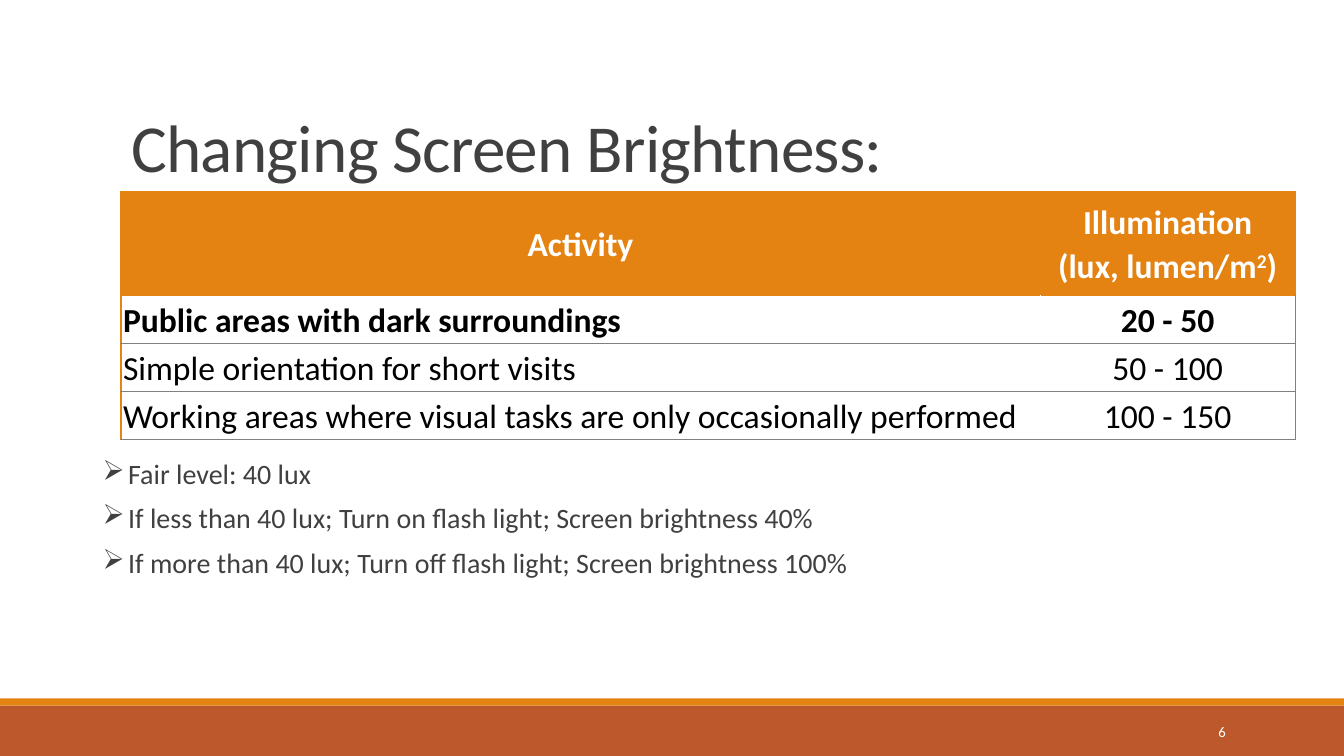
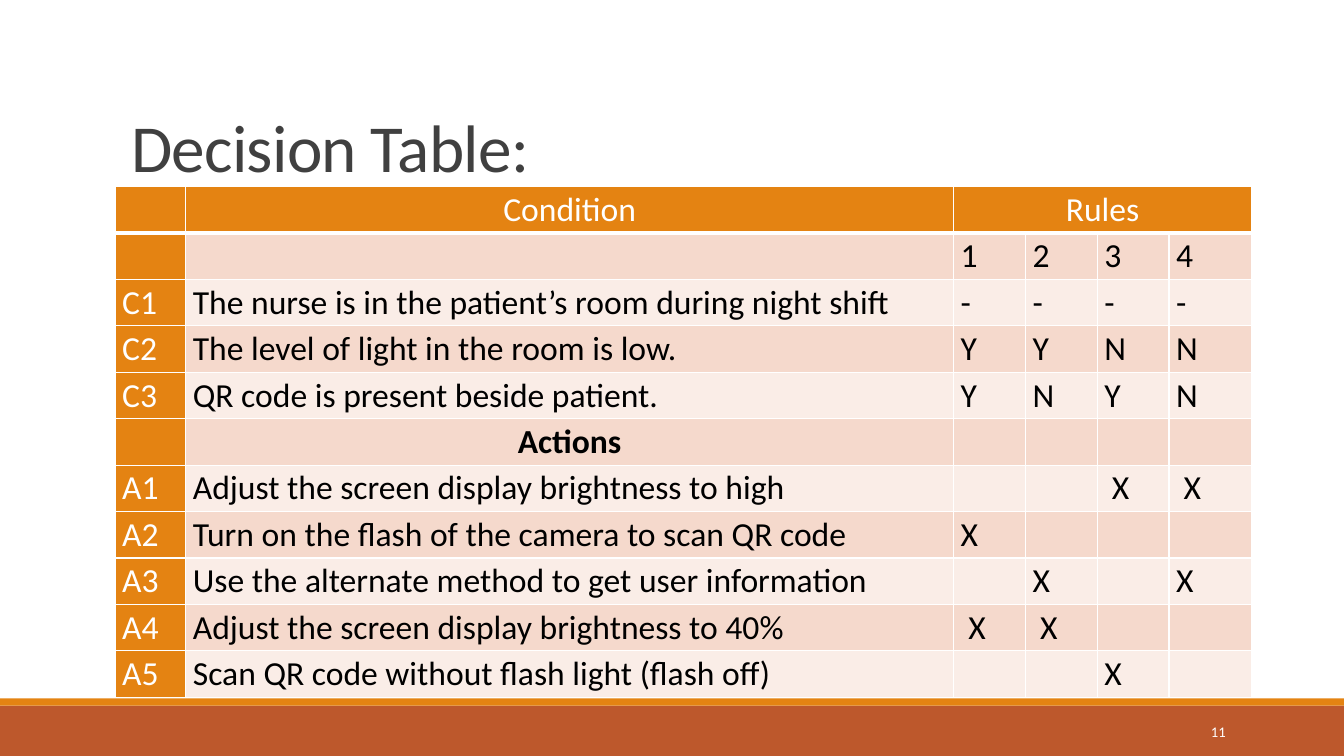
"""Build two slides on screen brightness and its decision table."""
from lxml.etree import SubElement as Sub
from pptx import Presentation
from pptx.dml.color import RGBColor as Rgb
from pptx.enum.shapes import MSO_CONNECTOR as Link, MSO_SHAPE as Shape
from pptx.enum.text import MSO_ANCHOR as Anchor, MSO_AUTO_SIZE as Fit, PP_ALIGN as Align
from pptx.oxml.ns import qn
from pptx.util import Cm, Pt

HUES = {
    "rust": "BD582C", "orange": "E48312", "grey": "808080", "ink": "404040",
    "black": "000000", "white": "FFFFFF", "peach": "F5D9CC", "blush": "FAEDE7",
}


def hue(name):
    return Rgb.from_string(HUES[name])


def put(item, **vals):
    for key, val in vals.items():
        setattr(item, key, val)


class Deck:
    font = "Calibri"
    wide, high = Cm(33.87), Cm(19.05)

    def __init__(self):
        self.show = Presentation()
        put(self.show, slide_width=self.wide, slide_height=self.high)

    def start(self, title, page):
        self.slide = self.show.slides.add_slide(self.show.slide_layouts[5])
        self.band(17.78, 1.27, "rust")
        self.band(17.6, 0.18, "orange")
        self.rule(3.33, 31.01, 4.83)
        self.title(title)
        self.text(27.51, 17.93, 3.63, 1.02, [page], size=10.5, tint="white",
                  anchor=Anchor.MIDDLE, form={"alignment": Align.RIGHT})

    def band(self, top, tall, tint):
        bar = self.slide.shapes.add_shape(Shape.RECTANGLE, 0, Cm(top), self.wide, Cm(tall))
        bar.shadow.inherit = False
        bar.fill.solid()
        bar.fill.fore_color.rgb = hue(tint)
        bar.line.fill.background()

    def rule(self, left, right, top):
        line = self.slide.shapes.add_connector(
            Link.STRAIGHT, Cm(left), Cm(top), Cm(right), Cm(top))
        line.line.color.rgb = hue("grey")
        line.line.width = Pt(0.5)
        Sub(line._element.spPr, qn("a:effectLst"))

    def title(self, words):
        box = self.slide.shapes.title
        put(box, left=Cm(3.05), top=Cm(0.79), width=Cm(27.94), height=Cm(4.04))
        put(box.text_frame, vertical_anchor=Anchor.BOTTOM, auto_size=Fit.NONE, word_wrap=True)
        para = box.text_frame.paragraphs[0]
        self.say(para, words, 48, "ink", alignment=Align.LEFT, line_spacing=0.85)
        para.runs[0].font._element.set("spc", "-50")

    def say(self, para, words, size, tint, bold=False, **form):
        first, *rest = words.split("^")
        para.text = first
        for i, part in enumerate(rest):
            run = para.add_run()
            run.text = part
            if i % 2 == 0:
                run.font._element.set("baseline", "30000")
        put(para, **form)
        for run in para.runs:
            put(run.font, name=self.font, size=Pt(size), bold=bold)
            run.font.color.rgb = hue(tint)

    def text(self, left, top, wide, tall, lines, size, tint,
             anchor=Anchor.TOP, form=None, mark=None):
        box = self.slide.shapes.add_textbox(Cm(left), Cm(top), Cm(wide), Cm(tall))
        frame = box.text_frame
        put(frame, word_wrap=True, vertical_anchor=anchor)
        for i, words in enumerate(lines):
            para = frame.add_paragraph() if i else frame.paragraphs[0]
            self.say(para, words, size, tint, **(form or {}))
            if mark:
                props = para._p.get_or_add_pPr()
                props.set("marL", str(Cm(0.64)))
                props.set("indent", str(-Cm(0.64)))
                Sub(props, qn("a:buChar"), char=mark)

    def edge(self, cell, sides):
        props = cell._tc.get_or_add_tcPr()
        for side in "LRTB":
            tint, width = sides[side]
            line = Sub(props, qn(f"a:ln{side}"), w=str(Pt(width)))
            Sub(Sub(line, qn("a:solidFill")), qn("a:srgbClr"), val=HUES[tint])

    def grid(self, left, top, cols, tall, rows, look, pad):
        frame = self.slide.shapes.add_table(
            len(rows), len(cols), Cm(left), Cm(top), Cm(sum(cols)), Cm(sum(tall)))
        table = frame.table
        put(table, first_row=False, horz_banding=False)
        for col, wide in zip(table.columns, cols):
            col.width = Cm(wide)
        for r, (row, high) in enumerate(zip(rows, tall)):
            table.rows[r].height = Cm(high)
            for c, words in enumerate(row):
                cell = table.cell(r, c)
                style = look(r, c)
                put(cell, **pad)
                self.edge(cell, style["sides"])
                if style["fill"]:
                    cell.fill.solid()
                    cell.fill.fore_color.rgb = hue(style["fill"])
                else:
                    cell.fill.background()
                self.say(cell.text_frame.paragraphs[0], words, 24, style["tint"],
                         style["bold"], alignment=style["align"], line_spacing=1.07)
        return table


def light(r, c):
    head = r == 0
    thin, warm = ("grey", 0.5), ("orange", 1)
    return {
        "fill": "orange" if head else None,
        "tint": "white" if head else "black",
        "bold": r < 2,
        "align": Align.CENTER if head or c else Align.LEFT,
        "sides": {
            "L": warm if head or c == 0 else ("white", 0.5),
            "R": warm if head else thin if c else ("white", 0.5),
            "T": warm if r < 2 else thin,
            "B": warm if head else thin,
        },
    }


def choice(r, c):
    head = r == 0 or c == 0
    mid = r == 0 or (r, c) == (5, 1)
    thin, thick = ("white", 1), ("white", 3)
    return {
        "fill": "orange" if head else "peach" if r % 2 else "blush",
        "tint": "white" if head else "black",
        "bold": (r, c) == (5, 1),
        "align": Align.CENTER if mid else Align.JUSTIFY,
        "sides": {"L": thin, "R": thin, "T": thick if r == 1 else thin,
                  "B": thick if r == 0 else thin},
    }


def main():
    deck = Deck()

    deck.start("Changing Screen Brightness:", "6")
    slim = dict.fromkeys(("margin_left", "margin_right", "margin_top", "margin_bottom"), Cm(0.05))
    deck.grid(3.05, 4.83, [23.16, 6.43], [2.62] + [1.21] * 3, [
        ("Activity", "Illumination\n(lux, lumen/m^2^)"),
        ("Public areas with dark surroundings", "20 - 50"),
        ("Simple orientation for short visits", "50 - 100"),
        ("Working areas where visual tasks are only occasionally performed", "100 - 150"),
    ], light, {**slim, "vertical_anchor": Anchor.MIDDLE})
    deck.text(2.34, 11.48, 29.21, 5.66, [
        "Fair level: 40 lux",
        "If less than 40 lux; Turn on flash light; Screen brightness 40%",
        "If more than 40 lux; Turn off flash light; Screen brightness 100%",
    ], size=20, tint="ink", mark="➢", form={"line_spacing": 0.9, "space_before": Pt(10)})

    deck.start("Decision Table:", "11")
    flat = {"margin_left": Cm(0.18), "margin_right": Cm(0.18), "margin_top": 0, "margin_bottom": 0}
    table = deck.grid(2.9, 4.7, [1.78, 19.35] + [1.81] * 3 + [2.08], [1.17] * 11, [
        ("", "Condition", "Rules", "", "", ""),
        ("", "", "1", "2", "3", "4"),
        ("C1", "The nurse is in the patient’s room during night shift", "-", "-", "-", "-"),
        ("C2", "The level of light in the room is low.", "Y", "Y", "N", "N"),
        ("C3", "QR code is present beside patient.", "Y", "N", "Y", "N"),
        ("", "Actions", "", "", "", ""),
        ("A1", "Adjust the screen display brightness to high", "", "", " X", " X"),
        ("A2", "Turn on the flash of the camera to scan QR code", "X", "", "", ""),
        ("A3", "Use the alternate method to get user information", "", "X", "", "X"),
        ("A4", "Adjust the screen display brightness to 40%", " X", " X", "", ""),
        ("A5", "Scan QR code without flash light (flash off)", "", "", "X", ""),
    ], choice, flat)
    table.cell(0, 2).merge(table.cell(0, 5))

    deck.show.save("out.pptx")


if __name__ == "__main__":
    main()
